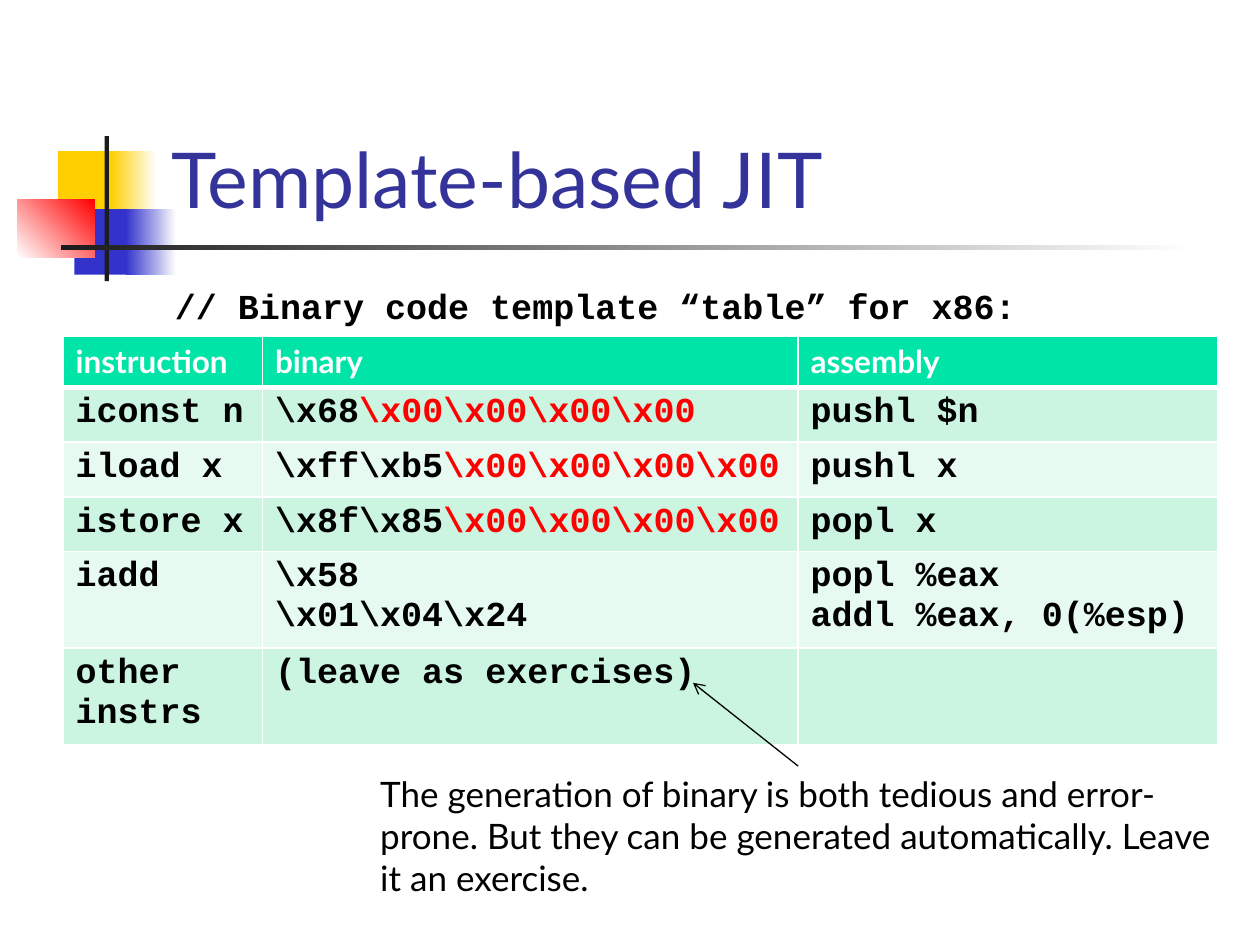
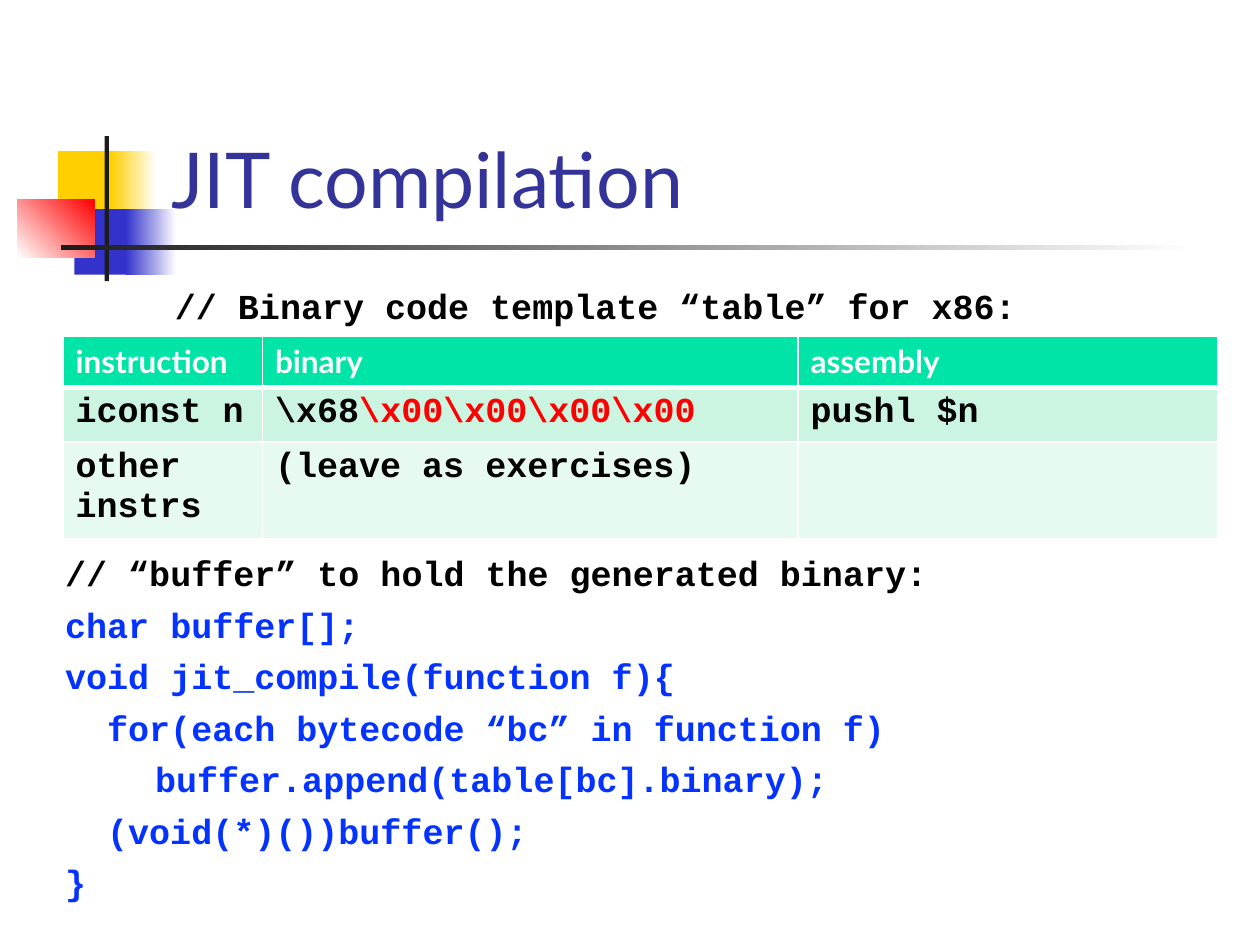
"""Builds two slides on template-based JIT compilation."""
from lxml.etree import SubElement
from pptx import Presentation
from pptx.dml.color import RGBColor
from pptx.enum.shapes import MSO_CONNECTOR as Connector, MSO_SHAPE as Shape
from pptx.enum.text import MSO_ANCHOR as Anchor, MSO_AUTO_SIZE as AutoSize, PP_ALIGN as Align
from pptx.oxml.ns import qn
from pptx.util import Pt

WHITE = RGBColor(0xFF, 0xFF, 0xFF)
BLACK = RGBColor(0x00, 0x00, 0x00)
INK = RGBColor(0x1C, 0x1C, 0x1C)
YELLOW = RGBColor(0xFF, 0xCF, 0x01)
BLUE = RGBColor(0x33, 0x33, 0xCC)
RED = RGBColor(0xFF, 0x00, 0x00)
TITLE_BLUE = RGBColor(0x33, 0x33, 0x99)
CODE_BLUE = RGBColor(0x04, 0x32, 0xFF)
HEADER_GREEN = RGBColor(0x00, 0xE4, 0xA8)
BANDS = (RGBColor(0xCC, 0xF5, 0xE1), RGBColor(0xE7, 0xFA, 0xF1))

SANS, MONO = "Lato", "Courier New"
TITLE_LAYOUT = 5
COLUMNS = (114, 306, 240)
HEADER_HEIGHT, ONE_LINE, TWO_LINES = 29.2, 31.2, 55.2
OPERAND = r"\x00" * 4

EMBLEM = (
    (33.1, 86.4, 34.6, 37.4, YELLOW, None, 0),
    (63.4, 86.4, 25.9, 37.4, YELLOW, WHITE, 0),
    (42.5, 119.5, 33.1, 37.4, BLUE, None, 0),
    (72, 119.5, 28.8, 37.4, BLUE, WHITE, 0),
    (10, 113.8, 44, 33.2, WHITE, RED, 45),
    (59.8, 77.8, 2.5, 82.8, INK, None, 0),
    (34.6, 140.2, 648, 2.5, INK, WHITE, 0),
)


def line(*runs):
    """Returns a paragraph of black runs, with the operand bytes in red."""
    return [(run, RED if run == OPERAND else BLACK) for run in runs]


HEADINGS = ("instruction", "binary", "assembly")
ICONST = (ONE_LINE, [line("iconst n")], [line(r"\x68", OPERAND)], [line("pushl $n")])
ILOAD = (ONE_LINE, [line("iload x")], [line(r"\xff\xb5", OPERAND)], [line("pushl x")])
ISTORE = (ONE_LINE, [line("istore x")], [line(r"\x8f\x85", OPERAND)], [line("popl x")])
IADD = (TWO_LINES, [line("iadd")], [line(r"\x58"), line(r"\x01\x04\x24")],
        [line("popl %eax"), line("addl %eax, 0(%esp)")])
OTHERS = (TWO_LINES, [line("other instrs")], [line("(leave as exercises)")], [])

CAPTION = [("// Binary code template “table” for x86:", BLACK, 0)]
LISTING = [
    ("// “buffer” to hold the generated binary:", BLACK, 0),
    ("char buffer[];", CODE_BLUE, 0),
    ("void jit_compile(function f){", CODE_BLUE, 0),
    ("for(each bytecode “bc” in function f)", CODE_BLUE, 24),
    ("buffer.append(table[bc].binary);", CODE_BLUE, 51.4),
    ("(void(*)())buffer();", CODE_BLUE, 24),
    ("}", CODE_BLUE, 0),
]
NOTE = ("The generation of binary is both tedious and error-prone. "
        "But they can be generated automatically. Leave it an exercise.")


class Deck:
    """Holds the presentation, its style and the current slide."""

    def __init__(self):
        self.deck = Presentation()
        self.deck.slide_width, self.deck.slide_height = Pt(720), Pt(540)
        self.slide = None

    def run(self, paragraph, text, size, font, colour, bold=False):
        """Adds one formatted run."""
        run = paragraph.add_run()
        run.text = text
        run.font.size, run.font.name, run.font.bold = Pt(size), font, bold
        run.font.color.rgb = colour

    def paragraphs(self, frame, count):
        """Returns the given number of paragraphs of a text frame."""
        return [frame.paragraphs[0]] + [frame.add_paragraph() for _ in range(count - 1)]

    def start(self, heading):
        """Opens a slide with the emblem and the title."""
        self.slide = self.deck.slides.add_slide(self.deck.slide_layouts[TITLE_LAYOUT])
        for block in EMBLEM:
            self.block(*block)
        title = self.slide.shapes.title
        title.element.getparent().append(title.element)
        title.left, title.top, title.width, title.height = Pt(90.7), Pt(16.6), Pt(613.4), Pt(115.2)
        title.text_frame.vertical_anchor = Anchor.BOTTOM
        paragraph = title.text_frame.paragraphs[0]
        paragraph.alignment = Align.LEFT
        self.run(paragraph, heading, 44, SANS, TITLE_BLUE)

    def block(self, left, top, width, height, colour, fade, angle):
        """Adds a plain or fading rectangle."""
        block = self.slide.shapes.add_shape(
            Shape.RECTANGLE, Pt(left), Pt(top), Pt(width), Pt(height))
        block.shadow.inherit = False
        block.line.fill.background()
        if fade is None:
            block.fill.solid()
            block.fill.fore_color.rgb = colour
            return
        block.fill.gradient()
        block.fill.gradient_angle = angle
        for stop, shade in zip(block.fill.gradient_stops, (colour, fade)):
            stop.color.rgb = shade

    def text_box(self, left, top, width, height):
        """Adds an empty wrapping text box."""
        box = self.slide.shapes.add_textbox(Pt(left), Pt(top), Pt(width), Pt(height))
        box.text_frame.word_wrap = True
        return box

    def code(self, left, top, width, height, lines):
        """Adds lines of code, each with its colour and indent."""
        frame = self.text_box(left, top, width, height).text_frame
        for paragraph, (text, colour, indent) in zip(self.paragraphs(frame, len(lines)), lines):
            paragraph.space_before = Pt(5.4)
            paragraph._p.get_or_add_pPr().set("marL", str(Pt(indent)))
            self.run(paragraph, text, 20, MONO, colour, True)

    def note(self, left, top, width, height, text):
        """Adds a remark and returns its box."""
        box = self.text_box(left, top, width, height)
        box.text_frame.auto_size = AutoSize.SHAPE_TO_FIT_TEXT
        self.run(box.text_frame.paragraphs[0], text, 20, SANS, BLACK)
        return box

    def arrow(self, source, left, top):
        """Draws an arrow from the top of a box to a point."""
        arrow = self.slide.shapes.add_connector(
            Connector.STRAIGHT, source.left, source.top, Pt(left), Pt(top))
        arrow.begin_connect(source, 0)
        arrow.line.color.rgb = BLACK
        arrow.line.width = Pt(0.75)
        SubElement(arrow.line._get_or_add_ln(), qn("a:tailEnd"), type="arrow")
        SubElement(arrow._element.spPr, qn("a:effectLst"))

    def paint(self, cell, colour, top, bottom):
        """Gives a cell its white borders and its fill."""
        properties = cell._tc.get_or_add_tcPr()
        for side, width in (("L", 1), ("R", 1), ("T", top), ("B", bottom)):
            border = SubElement(properties, qn(f"a:ln{side}"), w=str(Pt(width)))
            SubElement(SubElement(border, qn("a:solidFill")), qn("a:srgbClr"), val=str(WHITE))
        cell.fill.solid()
        cell.fill.fore_color.rgb = colour

    def templates(self, *instructions):
        """Adds the captioned table of instruction templates."""
        self.code(92.9, 159.1, 612, 33.1, CAPTION)
        heights = [HEADER_HEIGHT] + [height for height, *_ in instructions]
        table = self.slide.shapes.add_table(
            len(heights), len(COLUMNS), Pt(36), Pt(192.2),
            Pt(sum(COLUMNS)), Pt(sum(heights))).table
        for column, width in zip(table.columns, COLUMNS):
            column.width = Pt(width)
        for row, height in zip(table.rows, heights):
            row.height = Pt(height)
        for cell, heading in zip(table.rows[0].cells, HEADINGS):
            self.paint(cell, HEADER_GREEN, 1, 3)
            self.run(cell.text_frame.paragraphs[0], heading, 18, SANS, WHITE, True)
        for index, (_, *entries) in enumerate(instructions):
            for cell, entry in zip(table.rows[index + 1].cells, entries):
                self.paint(cell, BANDS[index % 2], 1 if index else 3, 1)
                for paragraph, runs in zip(self.paragraphs(cell.text_frame, len(entry)), entry):
                    for text, colour in runs:
                        self.run(paragraph, text, 20, MONO, colour, True)


def main():
    """Builds and saves both slides."""
    deck = Deck()

    deck.start("Template-based JIT")
    deck.templates(ICONST, ILOAD, ISTORE, IADD, OTHERS)
    remark = deck.note(210.2, 437.8, 491.8, 79.9, NOTE)
    deck.arrow(remark, 396, 390.2)

    deck.start("JIT compilation")
    deck.templates(ICONST, OTHERS)
    deck.code(30.2, 311.8, 612, 216, LISTING)

    deck.deck.save("out.pptx")


if __name__ == "__main__":
    main()
